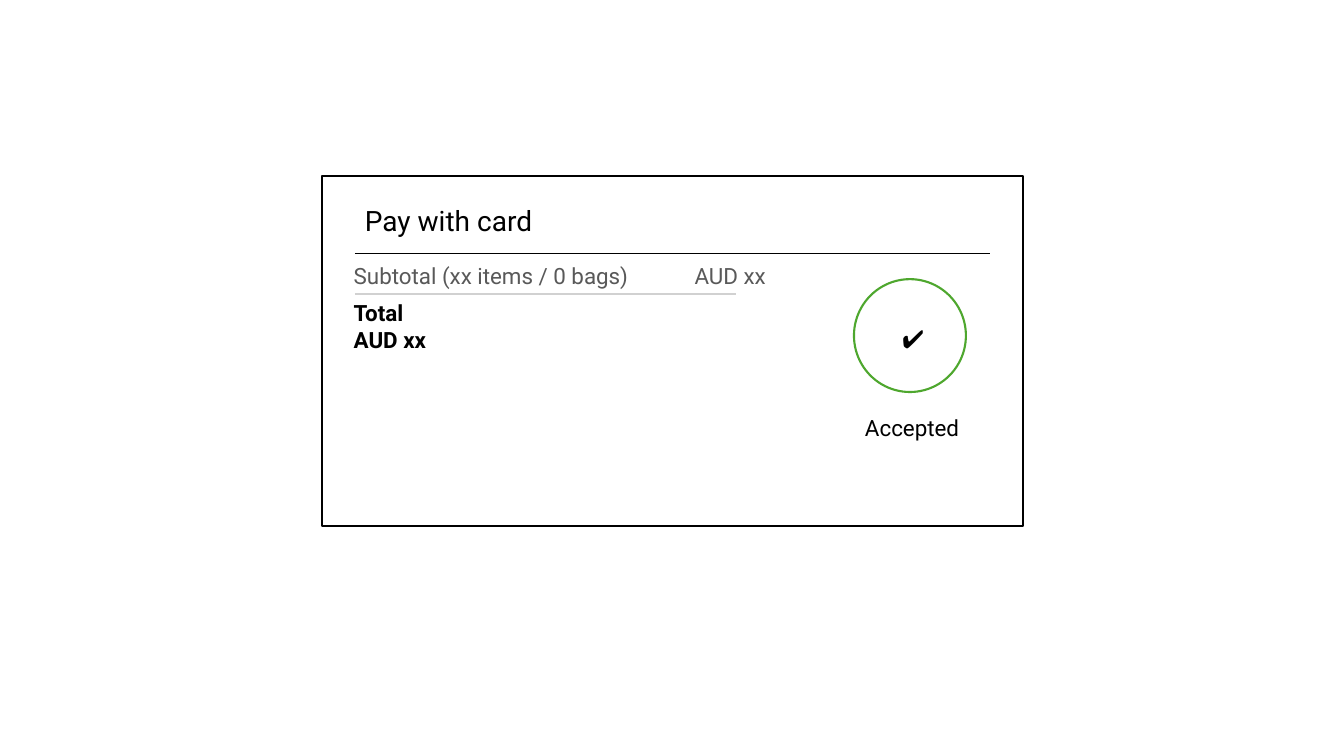
from lxml import etree
from pptx import Presentation
from pptx.dml.color import RGBColor
from pptx.enum.shapes import MSO_CONNECTOR, MSO_SHAPE
from pptx.oxml.ns import qn
from pptx.util import Inches, Pt

STRAIGHT = MSO_CONNECTOR.STRAIGHT
CARD, CIRCLE = MSO_SHAPE.FLOWCHART_PROCESS, MSO_SHAPE.OVAL

BLACK = RGBColor(0x00, 0x00, 0x00)
WHITE = RGBColor(0xFF, 0xFF, 0xFF)
GREY = RGBColor(0x59, 0x59, 0x59)
PALE = RGBColor(0xD1, 0xD1, 0xD1)
GREEN = RGBColor(0x4E, 0xA7, 0x2E)

WIDTH, HEIGHT = Inches(13.33), Inches(7.5)
AMOUNT_TAB = Inches(3.38)

# Places are percentages of the slide: left, top, width, height
OUTLINES = [
    (CARD, (23.93, 23.33, 52.21, 46.27), BLACK),
    (CIRCLE, (63.54, 36.93, 8.33, 14.93), GREEN),
]
# Left, right, height on the slide, colour, points
RULES = [
    (26.41, 73.67, 33.47, BLACK, 0.5),
    (26.41, 54.76, 38.93, PALE, 1.5),
]
LABELS = [
    (["Pay with card"], (26.41, 26.27, 14.4, 5.87),
     {"size": Pt(20)}, BLACK),
    (["Subtotal (xx items / 0 bags)\tAUD xx"], (25.58, 34, 33.68, 4.93),
     {"size": Pt(16)}, GREY),
    (["Total", "AUD xx"], (25.58, 38.93, 32.11, 8.27),
     {"size": Pt(16), "bold": True}, BLACK),
    (["Accepted"], (63.62, 54.13, 16.95, 4.93),
     {"size": Pt(16)}, BLACK),
    (["✔️"], (66.39, 42.13, 5.03, 5.33), {"size": Pt(18)}, BLACK),
]


def across(share):
    return round(WIDTH * share / 100)


def down(share):
    return round(HEIGHT * share / 100)


def place(left, top, width, height):
    return across(left), down(top), across(width), down(height)


deck = Presentation()
deck.slide_width, deck.slide_height = WIDTH, HEIGHT
shapes = deck.slides.add_slide(deck.slide_layouts[6]).shapes

# Card and status circle
for preset, spot, colour in OUTLINES:
    outline = shapes.add_shape(preset, *place(*spot))
    outline.shadow.inherit = False
    outline.fill.solid()
    outline.fill.fore_color.rgb = WHITE
    outline.line.color.rgb = colour
    outline.line.width = Pt(1.5)

# Dividing rules
for left, right, level, colour, weight in RULES:
    rule = shapes.add_connector(STRAIGHT, across(left), down(level),
                                across(right), down(level))
    rule.line.color.rgb = colour
    rule.line.width = Pt(weight)
    etree.SubElement(rule._element.spPr, qn("a:effectLst"))

# Wording
for lines, spot, font_format, colour in LABELS:
    frame = shapes.add_textbox(*place(*spot)).text_frame
    frame.word_wrap = True
    frame.text = "\n".join(lines)
    for paragraph in frame.paragraphs:
        font = paragraph.runs[0].font
        font.name = "Roboto"
        font.color.rgb = colour
        for attribute, value in font_format.items():
            setattr(font, attribute, value)
        if "\t" in paragraph.text:
            tabs = etree.SubElement(paragraph._p.get_or_add_pPr(),
                                    qn("a:tabLst"))
            etree.SubElement(tabs, qn("a:tab"), pos=str(AMOUNT_TAB), algn="l")

deck.save("out.pptx")
